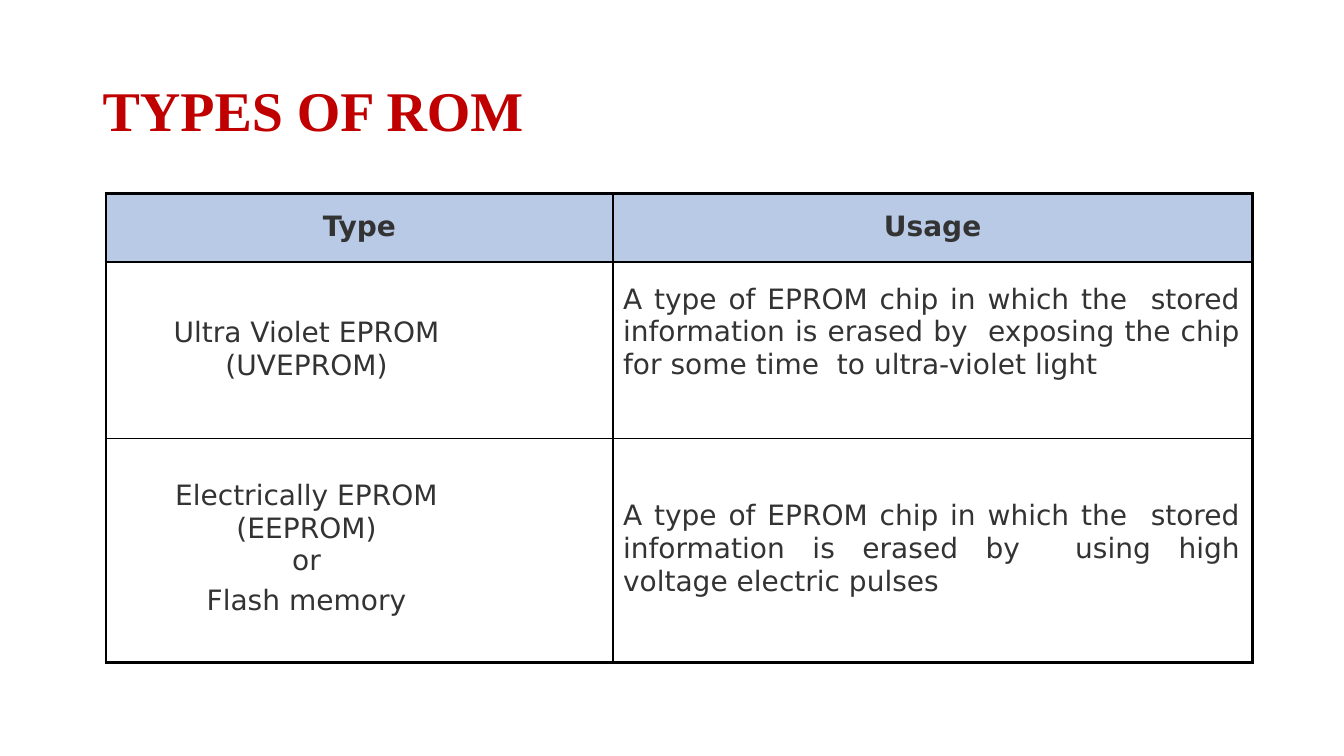
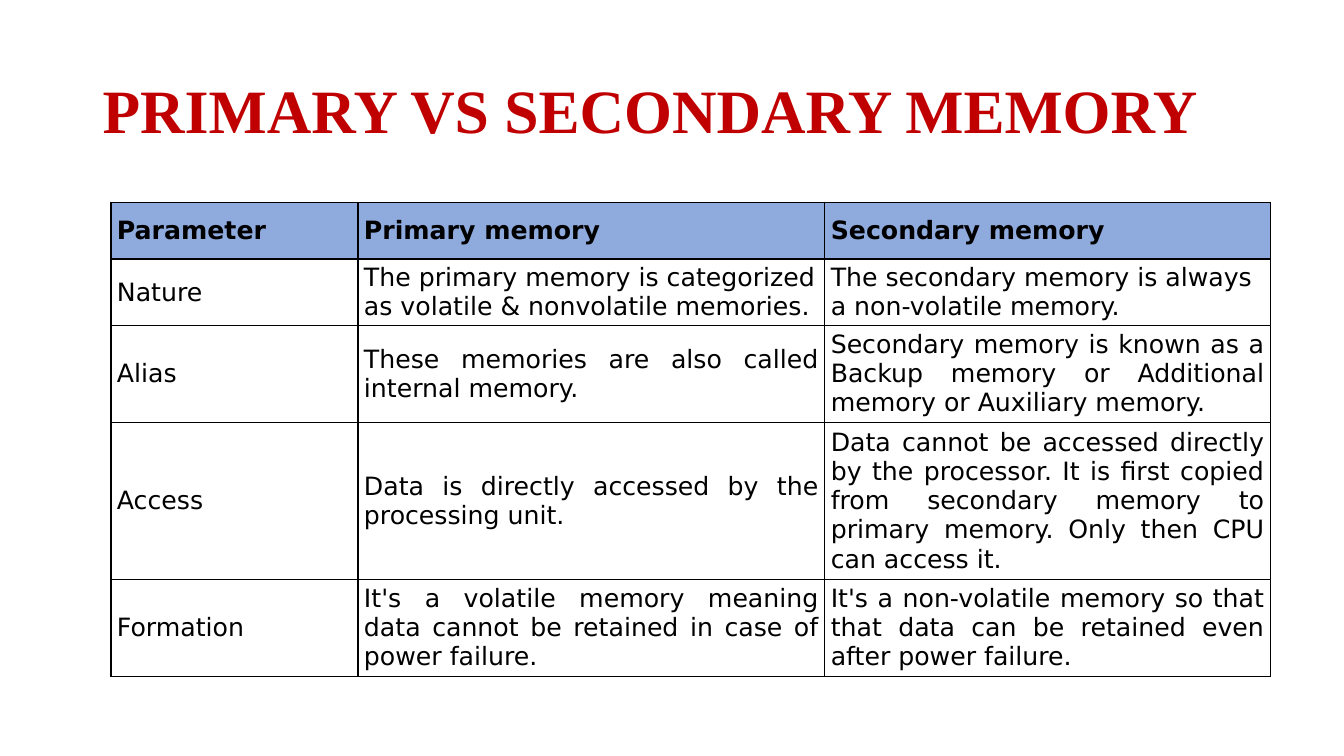
from lxml.etree import SubElement
from pptx import Presentation
from pptx.dml.color import RGBColor
from pptx.enum.text import MSO_ANCHOR, PP_ALIGN
from pptx.oxml.ns import qn
from pptx.util import Inches, Pt

SERIF, SANS = "Times New Roman", "DejaVu Sans"
RED, BLACK, GREY = "C00000", "000000", "333333"
PALE, BLUE = "B8CAE6", "8FAADC"
THIN, THICK = 1, 2.25

ROM = [
    ["Type", "Usage"],
    ["Ultra Violet EPROM (UVEPROM)",
     "A type of EPROM chip in which the  stored information is erased by  "
     "exposing the chip for some time  to ultra-violet light"],
    ["Electrically EPROM (EEPROM)\nor\nFlash memory",
     "A type of EPROM chip in which the  stored information is erased by  "
     "using high voltage electric pulses"],
]
ROM_TOPS = [[0.17, 0.17], [0.54, 0.21], [0.41, 0.61]]

MEMORY = [
    ["Parameter", "Primary memory", "Secondary memory"],
    ["Nature",
     "The primary memory is categorized as volatile & nonvolatile memories.",
     "The secondary memory is always a non-volatile memory."],
    ["Alias",
     "These memories are also called internal memory.",
     "Secondary memory is known as a Backup memory or Additional memory "
     "or Auxiliary memory."],
    ["Access",
     "Data is directly accessed by the processing unit.",
     "Data cannot be accessed directly by the processor. It is first copied "
     "from secondary memory to primary memory. Only then CPU can access it."],
    ["Formation",
     "It's a volatile memory meaning data cannot be retained in case of "
     "power failure.",
     "It's a non-volatile memory so that that data can be retained even "
     "after power failure."],
]


def rgb(code):
    return RGBColor.from_string(code)


def write(frame, text, font, size, color, bold, align=PP_ALIGN.LEFT):
    frame.text = text
    frame.word_wrap = True
    for para in frame.paragraphs:
        para.alignment = align
        for run in para.runs:
            run.font.name = font
            run.font.size = Pt(size)
            run.font.bold = bold
            run.font.color.rgb = rgb(color)


def add_page(deck, title, size):
    """Add a slide with its red title."""
    slide = deck.slides.add_slide(deck.slide_layouts[6])
    box = slide.shapes.add_textbox(
        Inches(0.92), Inches(0.4), Inches(11.5), Inches(1.45))
    frame = box.text_frame
    write(frame, title, SERIF, size, RED, True)
    frame.vertical_anchor = MSO_ANCHOR.MIDDLE
    frame.paragraphs[0].line_spacing = 0.9
    return slide


def add_border(cell, widths):
    """Draw black cell borders; widths maps a side (L, R, T, B) to points."""
    props = cell._tc.get_or_add_tcPr()
    for side, width in widths.items():
        line = SubElement(props, qn(f"a:ln{side}"), w=str(Pt(width)))
        fill = SubElement(line, qn("a:solidFill"))
        SubElement(fill, qn("a:srgbClr"), val=BLACK)


def set_pad(cell, left, top, right, bottom):
    cell.margin_left = Inches(left)
    cell.margin_top = Inches(top)
    cell.margin_right = Inches(right)
    cell.margin_bottom = Inches(bottom)


def add_grid(slide, left, top, widths, heights, head, edge):
    """Add an empty table with a filled head row and a frame of edge points."""
    frame = slide.shapes.add_table(
        len(heights), len(widths), Inches(left), Inches(top),
        Inches(sum(widths)), Inches(sum(heights)))
    table = frame.table
    table.horz_banding = False
    for col, width in zip(table.columns, widths):
        col.width = Inches(width)
    for row, height in zip(table.rows, heights):
        row.height = Inches(height)
    end_row, end_col = len(heights) - 1, len(widths) - 1
    for r in range(len(heights)):
        for c in range(len(widths)):
            cell = table.cell(r, c)
            add_border(cell, {
                "L": edge if c == 0 else THIN,
                "R": edge if c == end_col else THIN,
                "T": edge if r == 0 else THIN,
                "B": edge if r == end_row else THIN,
            })
            if r == 0:
                cell.fill.solid()
                cell.fill.fore_color.rgb = rgb(head)
            else:
                cell.fill.background()
    return table


def add_rom(deck):
    slide = add_page(deck, "TYPES OF ROM", 40)
    table = add_grid(slide, 1.05, 1.92, [5.03, 6.34], [0.68, 1.75, 2.22],
                     PALE, THICK)
    for r, row in enumerate(ROM):
        for c, text in enumerate(row):
            cell = table.cell(r, c)
            usage = r > 0 and c == 1
            align = PP_ALIGN.JUSTIFY if usage else PP_ALIGN.CENTER
            write(cell.text_frame, text, SANS, 20, GREY, r == 0, align)
            left, right = (0.1, 0.12) if usage else (0, 1.05 if r else 0)
            set_pad(cell, left, ROM_TOPS[r][c], right, 0)
    table.cell(2, 0).text_frame.paragraphs[-1].space_before = Pt(4.8)


def add_memory(deck):
    slide = add_page(deck, "PRIMARY VS SECONDARY MEMORY", 44)
    table = add_grid(slide, 1.1, 2.01, [2.45, 4.63, 4.42],
                     [0.56, 0.66, 0.93, 1.51, 0.93], BLUE, THIN)
    for r, row in enumerate(MEMORY):
        for c, text in enumerate(row):
            cell = table.cell(r, c)
            align = PP_ALIGN.JUSTIFY if r > 1 and c > 0 else PP_ALIGN.LEFT
            write(cell.text_frame, text, SANS, 18, BLACK, r == 0, align)
            set_pad(cell, 0.06, 0.03, 0.06, 0.03)
            cell.vertical_anchor = MSO_ANCHOR.MIDDLE


def main():
    deck = Presentation()
    deck.slide_width = Inches(13.33)
    deck.slide_height = Inches(7.5)
    add_rom(deck)
    add_memory(deck)
    deck.save("out.pptx")


if __name__ == "__main__":
    main()
